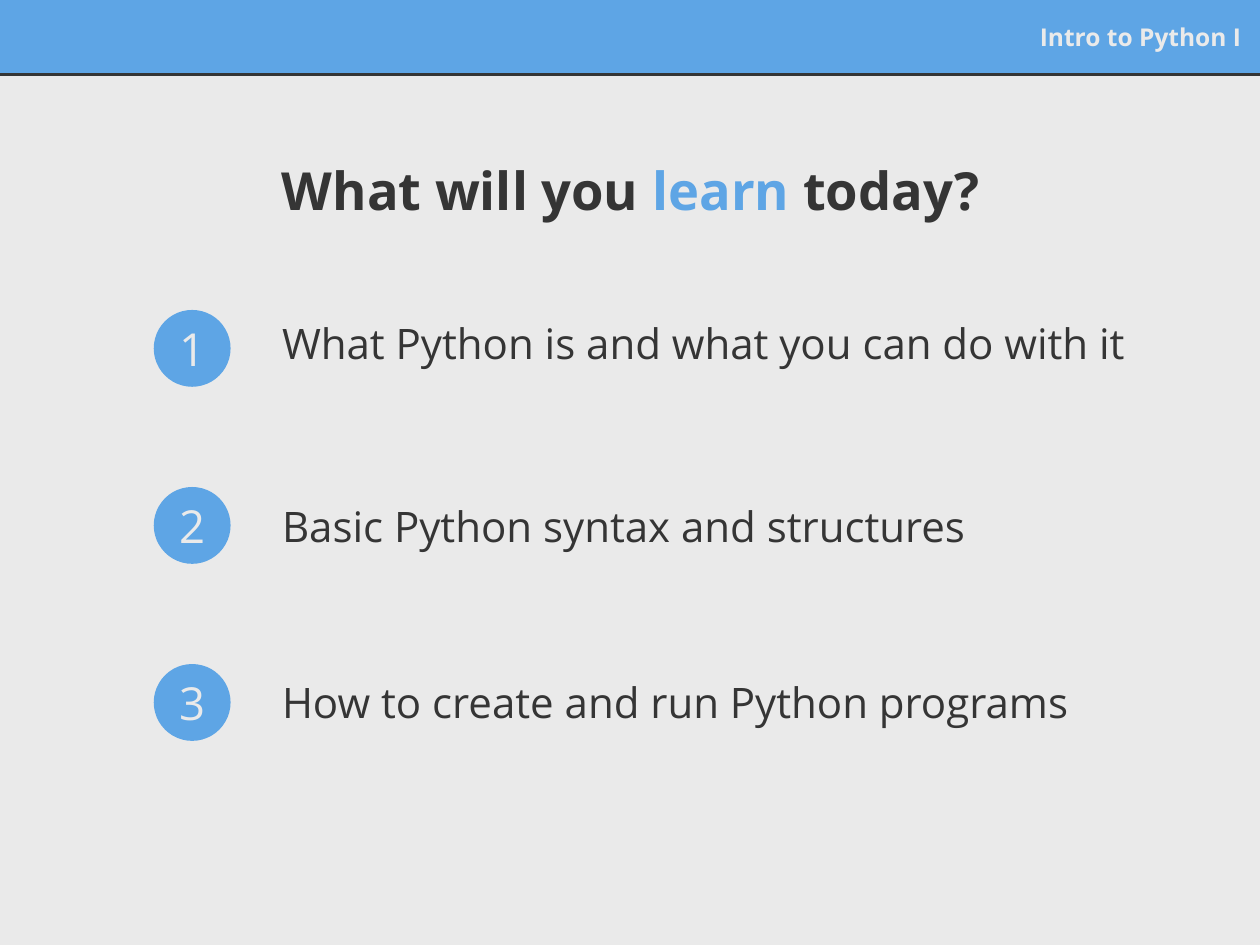
from dataclasses import dataclass

import pptx
import pptx.dml.color
import pptx.enum.shapes
import pptx.enum.text
import pptx.oxml.ns
import pptx.util
from lxml import etree

COLUMNS, ROWS = 100, 75  # square grid cells over the whole slide
SLIDE_W, SLIDE_H = pptx.util.Inches(10), pptx.util.Inches(7.5)
FONT = "Open Sans"
COLORS = {"paper": "EAEAEA", "blue": "5EA5E5", "ink": "353535"}
ALIGN = pptx.enum.text.PP_ALIGN

HEADER_ROWS = 5.9
BADGE_COLUMN, BADGE_SIZE = 12.2, 6.1
FIRST_BADGE_ROW, BADGE_PITCH = 24.6, 14.05
TOPIC_COLUMN, TOPIC_ROWS = 21.4, 8.2


@dataclass(frozen=True)
class Box:
    """A rectangle in grid columns and rows."""
    column: float
    row: float
    columns: float
    rows: float

    def emu(self) -> tuple[int, int, int, int]:
        return (x(self.column), y(self.row), x(self.columns), y(self.rows))


@dataclass(frozen=True)
class Run:
    text: str
    color: str


@dataclass(frozen=True)
class Topic:
    text: str
    row: float
    columns: float


TOPICS = [
    Topic("What Python is and what you can do with it", 23.1, 72),
    Topic("Basic Python syntax and structures", 37.6, 66.4),
    Topic("How to create and run Python programs", 51.6, 66.4),
]


def x(columns: float) -> int:
    return round(SLIDE_W * columns / COLUMNS)


def y(rows: float) -> int:
    return round(SLIDE_H * rows / ROWS)


def rgb(name: str) -> pptx.dml.color.RGBColor:
    return pptx.dml.color.RGBColor.from_string(COLORS[name])


def write(sp, runs: list[Run], size: float, align, bold: bool = False) -> None:
    tf = sp.text_frame
    tf.word_wrap = True
    tf.vertical_anchor = pptx.enum.text.MSO_ANCHOR.MIDDLE
    tf.margin_left = tf.margin_right = tf.margin_top = tf.margin_bottom = x(1)
    p = tf.paragraphs[0]
    p.alignment = align
    p.font.name, p.font.size, p.font.bold = FONT, pptx.util.Pt(size), bold
    for run in runs:
        r = p.add_run()
        r.text = run.text
        r.font.color.rgb = rgb(run.color)


def add_text(slide, box: Box, runs: list[Run], size: float, align, bold: bool = False) -> None:
    write(slide.shapes.add_textbox(*box.emu()), runs, size, align, bold)


def add_blue_shape(slide, kind, box: Box):
    sp = slide.shapes.add_shape(kind, *box.emu())
    sp.shadow.inherit = False
    sp.fill.solid()
    sp.fill.fore_color.rgb = rgb("blue")
    sp.line.fill.background()
    return sp


def add_header(slide) -> None:
    shapes = pptx.enum.shapes
    bar = add_blue_shape(slide, shapes.MSO_SHAPE.RECTANGLE, Box(0, 0, COLUMNS, HEADER_ROWS))
    bar.line.color.rgb = rgb("blue")
    bar.line.width = pptx.util.Pt(0.75)
    rule = slide.shapes.add_connector(
        shapes.MSO_CONNECTOR.STRAIGHT, 0, y(HEADER_ROWS), SLIDE_W, y(HEADER_ROWS))
    rule.line.color.rgb = rgb("ink")
    rule.line.width = pptx.util.Pt(1.5)
    etree.SubElement(rule._element.spPr, pptx.oxml.ns.qn("a:effectLst"))
    add_text(slide, Box(62.4, 1, 37.1, 3.8), [Run("Intro to Python I", "paper")],
             14, ALIGN.RIGHT, bold=True)


def add_topic(slide, index: int, topic: Topic) -> None:
    box = Box(BADGE_COLUMN, FIRST_BADGE_ROW + index * BADGE_PITCH, BADGE_SIZE, BADGE_SIZE)
    badge = add_blue_shape(slide, pptx.enum.shapes.MSO_SHAPE.OVAL, box)
    write(badge, [Run(str(index + 1), "paper")], 26, ALIGN.CENTER)
    add_text(slide, Box(TOPIC_COLUMN, topic.row, topic.columns, TOPIC_ROWS),
             [Run(topic.text, "ink")], 24, ALIGN.LEFT)


def main() -> None:
    prs = pptx.Presentation()
    prs.slide_width, prs.slide_height = SLIDE_W, SLIDE_H
    slide = prs.slides.add_slide(prs.slide_layouts[6])
    slide.background.fill.solid()
    slide.background.fill.fore_color.rgb = rgb("paper")

    add_header(slide)
    title = [Run("What will you ", "ink"), Run("learn", "blue"), Run(" today?", "ink")]
    add_text(slide, Box(1.8, 9.4, 96.5, 11.2), title, 30, ALIGN.CENTER, bold=True)
    for index, topic in enumerate(TOPICS):
        add_topic(slide, index, topic)
    prs.save("out.pptx")


if __name__ == "__main__":
    main()
